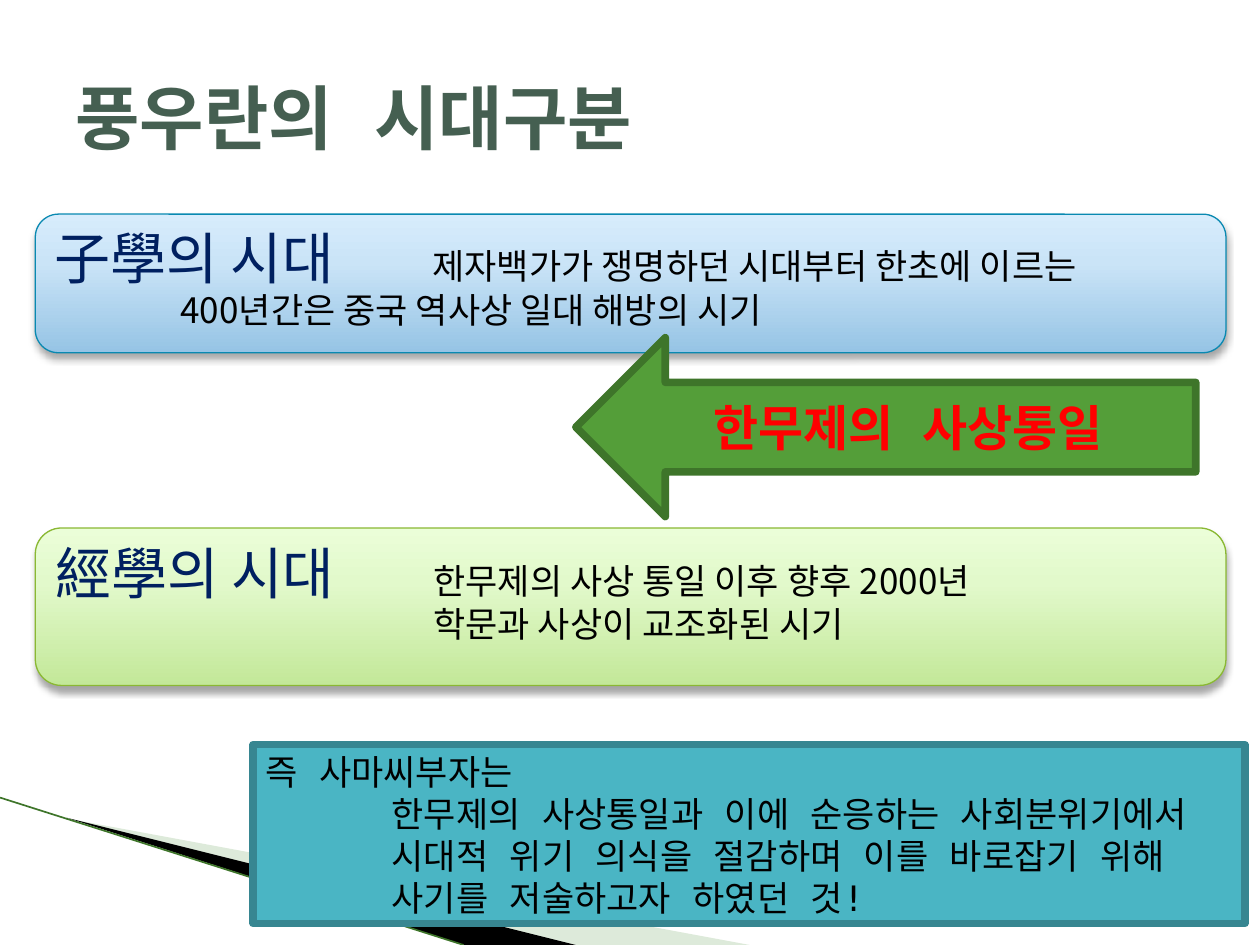
from copy import deepcopy

from lxml import etree
from pptx import Presentation
from pptx.dml.color import RGBColor
from pptx.enum.shapes import MSO_CONNECTOR, MSO_SHAPE
from pptx.enum.text import MSO_ANCHOR, PP_ALIGN
from pptx.oxml import parse_xml
from pptx.oxml.ns import qn
from pptx.util import Inches, Pt

TOP, MIDDLE = MSO_ANCHOR.TOP, MSO_ANCHOR.MIDDLE
LEFT, CENTER, JUSTIFY = PP_ALIGN.LEFT, PP_ALIGN.CENTER, PP_ALIGN.JUSTIFY
ROUNDED, RECT, ARROW = (MSO_SHAPE.ROUNDED_RECTANGLE, MSO_SHAPE.RECTANGLE,
                        MSO_SHAPE.LEFT_ARROW)
STRAIGHT = MSO_CONNECTOR.STRAIGHT

MONO, CJK = "DejaVu Sans Mono", "Noto Sans CJK KR"
BLACK = RGBColor(0x00, 0x00, 0x00)
RED = RGBColor(0xFF, 0x00, 0x00)
NAVY = RGBColor(0x00, 0x20, 0x60)
SLATE = RGBColor(0x45, 0x5F, 0x51)
GREEN = RGBColor(0x54, 0x9E, 0x39)
DARK_GREEN = RGBColor(0x3E, 0x75, 0x2A)
PALE_GREEN = RGBColor(0xDD, 0xEA, 0xDA)
TEAL = RGBColor(0x4A, 0xB5, 0xC4)
DARK_TEAL = RGBColor(0x37, 0x86, 0x91)
BLUE_LINE = RGBColor(0x09, 0x89, 0xB1)
LIME_LINE = RGBColor(0x8A, 0xB8, 0x33)
BLUES = [RGBColor.from_string(c) for c in ("96C4E5", "CAE4F7", "D7ECFC")]
LIMES = [RGBColor.from_string(c) for c in ("C3E899", "E2F9CB", "EBFED8")]
STOPS = (0, 0.65, 1)
A_NS = "http://schemas.openxmlformats.org/drawingml/2006/main"


def add_run(p, text, size=20, font=MONO, color=BLACK, bold=False):
    r = p.add_run()
    r.text = text
    r.font.size, r.font.name, r.font.bold = Pt(size), font, bold
    r.font.color.rgb = color
    ea = etree.SubElement(r._r.get_or_add_rPr(), qn("a:ea"))
    ea.set("typeface", font)


def add_box(s, kind, box, line, width, fill=None):
    sp = s.shapes.add_shape(kind, *map(Inches, box))
    sp.shadow.inherit = False
    if fill is not None:
        sp.fill.solid()
        sp.fill.fore_color.rgb = fill
    sp.line.color.rgb = line
    sp.line.width = Pt(width)
    sp.text_frame.word_wrap = True
    sp.text_frame.vertical_anchor = MIDDLE
    return sp


def add_corner(s):
    """Wedges and a thin line in the bottom left corner."""
    wedges = (((0.55, 6.5), (5.95, 7.5), (4.56, 7.5), PALE_GREEN),
              ((0.53, 6.49), (4.57, 7.5), (3.68, 7.5), BLACK))
    for *points, color in wedges:
        start, *rest = [(Inches(x), Inches(y)) for x, y in points]
        builder = s.shapes.build_freeform(*start, scale=1)
        builder.add_line_segments(rest)
        sp = builder.convert_to_shape()
        sp.shadow.inherit = False
        sp.fill.solid()
        sp.fill.fore_color.rgb = color
        sp.line.fill.background()
    edge = s.shapes.add_connector(STRAIGHT, Inches(0), Inches(6.33),
                                  Inches(3.68), Inches(7.5))
    edge.line.color.rgb = DARK_GREEN
    edge.line.width = Pt(0.95)
    etree.SubElement(edge._element.spPr, qn("a:effectLst"))


def add_title(s, box, text):
    title = s.shapes.title
    title.left, title.top, title.width, title.height = map(Inches, box)
    tf = title.text_frame
    tf.vertical_anchor = MIDDLE
    tf.paragraphs[0].alignment = LEFT
    add_run(tf.paragraphs[0], text, size=40, color=SLATE, bold=True)


def add_era(s, box, colors, line, heading, first, second, indent):
    """Gradient card: heading, then a description after a tab stop."""
    sp = add_box(s, ROUNDED, box, line, 0.75)

    # Three-stop gradient, darkest at the bottom
    sp.fill.gradient()
    sp.fill.gradient_angle = 90
    stops = next(sp._element.spPr.iter(qn("a:gsLst")))
    stops.append(deepcopy(stops[-1]))
    for stop, position, color in zip(sp.fill.gradient_stops, STOPS, colors):
        stop.position = position
        stop.color.rgb = color

    # Soft shadow below
    sp._element.spPr.find(qn("a:effectLst")).append(parse_xml(
        f'<a:outerShdw xmlns:a="{A_NS}" blurRad="{Pt(4)}" dist="{Pt(3)}" '
        'dir="5400000" rotWithShape="0"><a:srgbClr val="000000">'
        '<a:alpha val="35000"/></a:srgbClr></a:outerShdw>'))

    tf = sp.text_frame
    tf.vertical_anchor = TOP
    tf.margin_top = tf.margin_bottom = 0
    p = tf.paragraphs[0]
    p.alignment, p.line_spacing = LEFT, Pt(40)
    tabs = etree.SubElement(p._p.get_or_add_pPr(), qn("a:tabLst"))
    etree.SubElement(tabs, qn("a:tab"), pos=str(Inches(3)), algn="l")
    add_run(p, heading + "\t", size=32, font=CJK, color=NAVY)
    add_run(p, first, font=CJK)
    p = tf.add_paragraph()
    p.alignment, p.line_spacing = LEFT, Pt(22.5)
    p._p.get_or_add_pPr().set("marL", str(Inches(indent)))
    add_run(p, second, font=CJK)


def add_arrow(s, box, text):
    sp = add_box(s, ARROW, box, DARK_GREEN, 4.33, GREEN)
    p = sp.text_frame.paragraphs[0]
    p.alignment = CENTER
    add_run(p, text, size=28, color=RED, bold=True)


def add_conclusion(s, box, lead, lines):
    tf = add_box(s, RECT, box, DARK_TEAL, 4.33, TEAL).text_frame
    tf.paragraphs[0].alignment = JUSTIFY
    add_run(tf.paragraphs[0], lead)
    for text in lines:
        p = tf.add_paragraph()
        p.alignment = JUSTIFY
        p._p.get_or_add_pPr().set("marL", str(Inches(1)))
        add_run(p, text)


def main():
    prs = Presentation()
    prs.slide_width, prs.slide_height = Inches(10), Inches(7.5)
    s = prs.slides.add_slide(prs.slide_layouts[5])

    add_corner(s)
    add_title(s, (0.5, 0.3, 9, 1.25), "풍우란의 시대구분")
    add_era(s, (0.28, 1.7, 9.45, 1.1), BLUES, BLUE_LINE, "子學의 시대",
            "제자백가가 쟁명하던 시대부터 한초에 이르는",
            "400년간은 중국 역사상 일대 해방의 시기", indent=1)
    add_era(s, (0.28, 4.19, 9.45, 1.25), LIMES, LIME_LINE, "經學의 시대",
            "한무제의 사상 통일 이후 향후 2000년",
            "학문과 사상이 교조화된 시기", indent=3)
    add_arrow(s, (4.57, 2.68, 4.92, 1.42), "한무제의 사상통일")
    add_conclusion(s, (2.01, 5.91, 7.87, 1.42), "즉 사마씨부자는", (
        "한무제의 사상통일과 이에 순응하는 사회분위기에서",
        "시대적 위기 의식을 절감하며 이를 바로잡기 위해",
        "사기를 저술하고자 하였던 것!"))

    prs.save("out.pptx")


if __name__ == "__main__":
    main()
